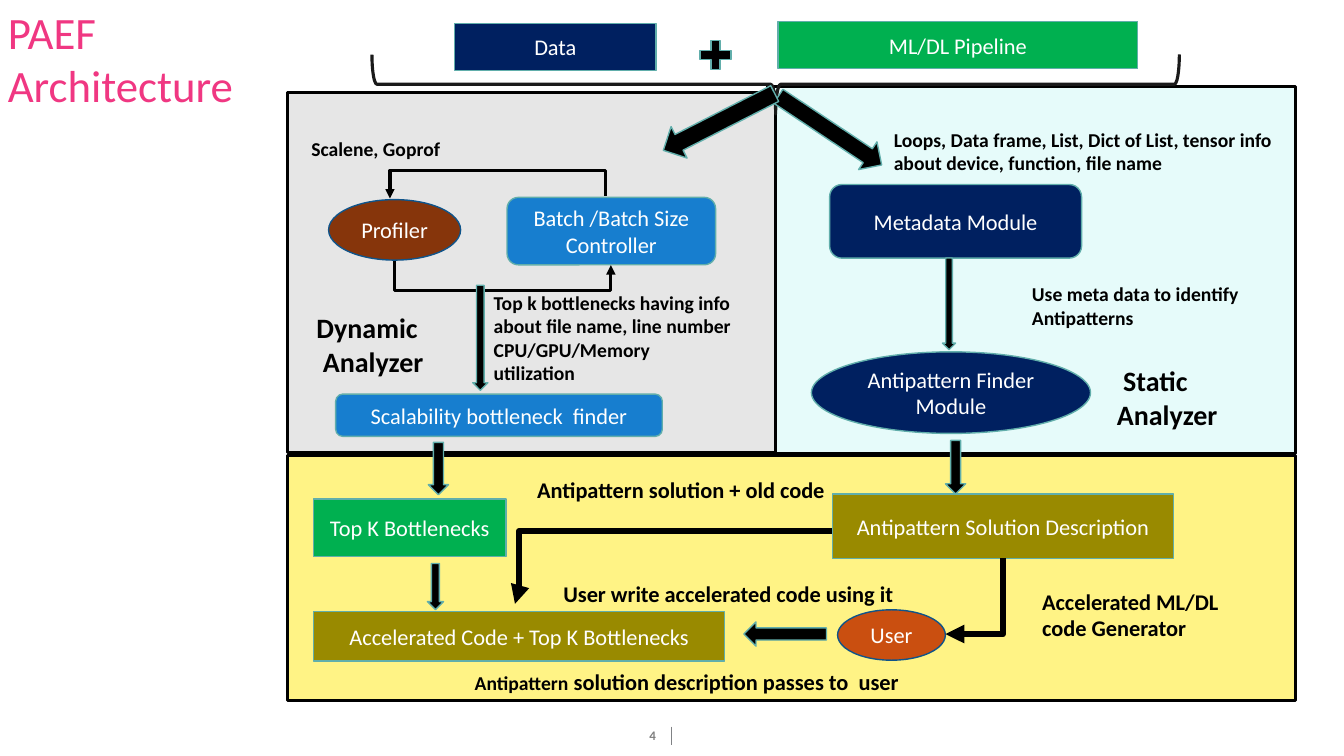
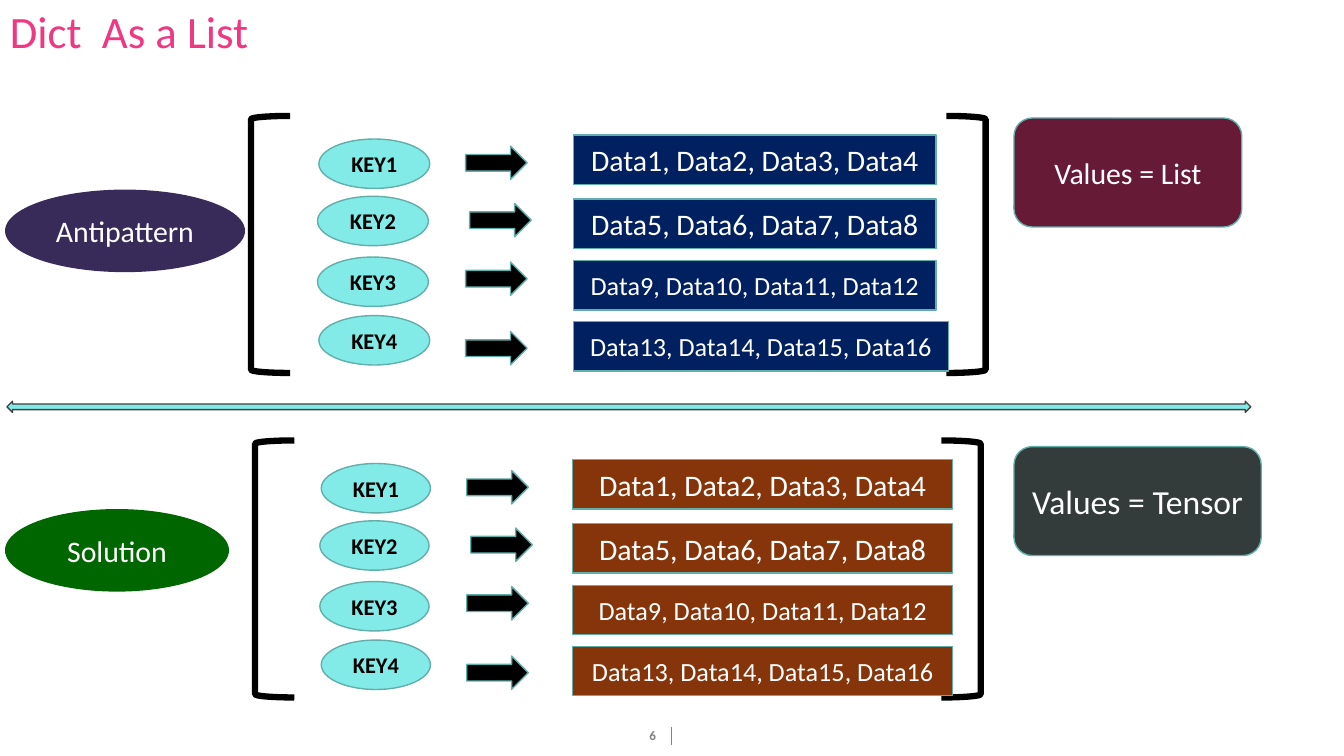
from dataclasses import dataclass

from lxml import etree
from pptx import Presentation
from pptx.dml.color import RGBColor
from pptx.enum import shapes, text as textual
from pptx.oxml import ns
from pptx.util import Pt

Kind = shapes.MSO_SHAPE
Align = textual.PP_ALIGN
Anchor = textual.MSO_ANCHOR


@dataclass(frozen=True)
class Theme:
    font: str = "Calibri"
    # Colours
    pink: str = "F03782"
    white: str = "FFFFFF"
    black: str = "000000"
    brace: str = "1A1A1A"
    grey: str = "808080"
    rule: str = "808285"
    edge: str = "61AEAB"
    blue_edge: str = "0F548A"
    dark_edge: str = "404040"
    navy: str = "002060"
    blue: str = "177ECF"
    green: str = "00B050"
    forest: str = "006600"
    olive: str = "998A00"
    brown: str = "86350B"
    orange: str = "CA4F10"
    aqua: str = "83EBE7"
    violet: str = "382B5A"
    wine: str = "661A35"
    slate: str = "333B3B"
    pale_aqua: str = "E6FBFA"
    pale_grey: str = "E6E6E6"
    yellow: str = "FFF385"
    # Type sizes
    title: float = 32
    large: float = 24
    value: float = 21.3
    long_value: float = 18.7
    heading: float = 20
    body: float = 16
    note: float = 14
    footer: float = 9.3


THEME = Theme()


def colour(code):
    return RGBColor.from_string(code)


def points(values):
    return [Pt(value) for value in values]


def child(parent, tag, **attributes):
    return etree.SubElement(parent, ns.qn(tag), attributes)


# Text

def add_span(para, words, size, ink, bold):
    span = para.add_run()
    span.text = words
    span.font.name = THEME.font
    span.font.size = Pt(size)
    span.font.bold = bold
    span.font.color.rgb = colour(ink)


def write(shape, text, size=THEME.body, ink=THEME.black, bold=False,
          align=Align.LEFT, anchor=Anchor.TOP, indents=(), lead=None, spacing=None):
    """Put text in a shape, one paragraph a line; lead is a (words, size) opening."""
    frame = shape.text_frame
    frame.word_wrap = True
    frame.vertical_anchor = anchor
    for index, line in enumerate(text.split("\n")):
        para = frame.paragraphs[0] if index == 0 else frame.add_paragraph()
        para.alignment = align
        if spacing:
            para.line_spacing = spacing
        if indents:
            para._p.get_or_add_pPr().set("marL", str(Pt(indents[index])))
        if lead and index == 0:
            add_span(para, *lead, ink, bold)
        add_span(para, line, size, ink, bold)


def add_label(page, box, text, **style):
    label = page.shapes.add_textbox(*points(box))
    write(label, text, **style)
    return label


def add_note(page, box, text, size=THEME.note, **style):
    add_label(page, box, text, size=size, bold=True, **style)


# Shapes

def add_block(page, kind, box, fill=None, text="", edge=THEME.edge, weight=1,
              turn=0, ink=THEME.white, **style):
    block = page.shapes.add_shape(kind, *points(box))
    block.shadow.inherit = False
    block.rotation = turn
    if fill:
        block.fill.solid()
        block.fill.fore_color.rgb = colour(fill)
    else:
        block.fill.background()
    if edge:
        block.line.color.rgb = colour(edge)
        block.line.width = Pt(weight)
    else:
        block.line.fill.background()
    if text:
        write(block, text, ink=ink, align=Align.CENTER, anchor=Anchor.MIDDLE, **style)
    return block


def add_arrow(page, box, kind=Kind.DOWN_ARROW, turn=0):
    add_block(page, kind, box, THEME.black, turn=turn)


# Connectors

def add_line(page, start, end, ink, weight, kind=shapes.MSO_CONNECTOR.STRAIGHT):
    line = page.shapes.add_connector(kind, *points((*start, *end)))
    line.line.color.rgb = colour(ink)
    line.line.width = Pt(weight)
    child(line._element.spPr, "a:effectLst")
    return line


def add_elbow(page, start, end, weight, bend=None, turn=0, flips=()):
    """Bent arrow; bend is where its middle leg lies, None gives a single corner."""
    line = add_line(page, start, end, THEME.black, weight, shapes.MSO_CONNECTOR.ELBOW)
    properties = line._element.spPr
    child(properties.find(ns.qn("a:ln")), "a:tailEnd", type="triangle")
    geometry = properties.find(ns.qn("a:prstGeom"))
    if bend is None:
        geometry.set("prst", "bentConnector2")
    else:
        axis = 1 if turn else 0
        share = (bend - start[axis]) / (end[axis] - start[axis])
        guides = geometry.find(ns.qn("a:avLst"))
        if guides is None:
            guides = child(geometry, "a:avLst")
        child(guides, "a:gd", name="adj1", fmla=f"val {round(share * 100000)}")
    if turn:
        # A quarter turn swaps width and height about the same centre
        width, height = abs(end[1] - start[1]), abs(end[0] - start[0])
        line.left = Pt((start[0] + end[0] - width) / 2)
        line.top = Pt((start[1] + end[1] - height) / 2)
        line.width, line.height = Pt(width), Pt(height)
        frame = properties.find(ns.qn("a:xfrm"))
        frame.set("rot", str(turn * 60000))
        for flip in ("flipH", "flipV"):
            frame.set(flip, "1" if flip in flips else "0")


# Pages

def add_page(deck, number, title, box, **style):
    page = deck.slides.add_slide(deck.slide_layouts[6])
    add_line(page, (479.5, 519), (479.5, 532), THEME.rule, 0.5)
    add_label(page, (450.5, 518.5, 31.5, 13.5), str(number), size=THEME.footer,
              ink=THEME.grey, bold=True, align=Align.CENTER, anchor=Anchor.MIDDLE)
    add_label(page, box, title, size=THEME.title, ink=THEME.pink, **style)
    return page


def build_architecture(deck):
    page = add_page(deck, 4, "PAEF\nArchitecture", (-1.5, -0.5, 216, 85))

    # Panels
    for box, fill in (
        ((548.6, 62, 376.6, 262), THEME.pale_aqua),
        ((205.2, 325.4, 720, 175), THEME.yellow),
        ((205.2, 66.2, 348.5, 257), THEME.pale_grey),
    ):
        add_block(page, Kind.RECTANGLE, box, fill, edge=THEME.black, weight=2.25)

    # Inputs
    add_block(page, Kind.RECTANGLE, (324.7, 16.6, 144, 33.8), THEME.navy, "Data")
    add_block(page, Kind.MATH_PLUS, (496, 25.2, 30.2, 28), THEME.black)
    add_block(page, Kind.RECTANGLE, (555.8, 15.3, 257, 33.8), THEME.green, "ML/DL Pipeline")
    add_block(page, Kind.LEFT_BRACE, (532.8, -228.2, 42.5, 576.7), edge=THEME.brace,
              weight=2.25, turn=270)

    # Modules
    for kind, box, fill, text in (
        (Kind.ROUNDED_RECTANGLE, (362.2, 141, 149, 48.2), THEME.blue,
         "Batch /Batch Size Controller"),
        (Kind.ROUNDED_RECTANGLE, (239.8, 281.5, 233.3, 30.2), THEME.blue,
         "Scalability bottleneck  finder"),
        (Kind.ROUNDED_RECTANGLE, (592.6, 131.8, 180, 52.6), THEME.navy, "Metadata Module"),
        (Kind.OVAL, (579.6, 251.3, 199.4, 58.3), THEME.navy, "Antipattern Finder\nModule"),
        (Kind.RECTANGLE, (223.9, 356.4, 137.5, 41), THEME.green, "Top K Bottlenecks"),
        (Kind.RECTANGLE, (223.9, 437, 293.8, 35.3), THEME.olive,
         "Accelerated Code + Top K Bottlenecks"),
        (Kind.RECTANGLE, (594.7, 352.8, 243.4, 46), THEME.olive,
         "Antipattern Solution Description"),
    ):
        add_block(page, kind, box, fill, text)
    for box, fill, text in (
        ((234.7, 142.6, 94.3, 43.2), THEME.brown, "Profiler"),
        ((598.3, 435.6, 77, 36), THEME.orange, "User"),
    ):
        add_block(page, Kind.OVAL, box, fill, text, edge=THEME.blue_edge)

    # Bent arrows
    add_elbow(page, (432.7, 139.7), (278.6, 141.8), 2.25, bend=121.7, turn=270,
              flips=("flipH", "flipV"))
    add_elbow(page, (281.5, 186.5), (436.3, 189.4), 2.25, bend=207.4, turn=270,
              flips=("flipH",))
    add_elbow(page, (716.4, 398.9), (675.4, 452.9), 4.5, turn=90)
    add_elbow(page, (594, 379.4), (367.9, 431.3), 4.5, bend=370.8)

    # Block arrows
    for box, turn in (
        ((581, 49, 23.8, 88.6), 303.6),
        ((501, 42.5, 25.2, 89.3), 63),
        ((306, 316, 14.4, 37.4), 0),
        ((673.2, 184.3, 9.4, 65.5), 0),
        ((305.3, 402.5, 11.5, 33), 0),
        ((337.7, 203.8, 10.8, 75), 0),
        ((675.4, 314.6, 14.4, 38.2), 0),
        ((552.2, 423.4, 17.3, 59), 90),
    ):
        add_arrow(page, box, turn=turn)

    # Panel headings
    add_note(page, (219, 218.2, 114, 55.4), "Dynamic\nAnalyzer", THEME.heading,
             indents=(0, 4.5))
    add_note(page, (786.2, 256.3, 135.4, 55.4), "Static\nAnalyzer", THEME.heading,
             indents=(9, 4.5))

    # Notes
    for box, text, size in (
        ((215.3, 94.3, 168, 24.5), "Scalene, Goprof", THEME.note),
        ((631.4, 87.8, 299.5, 41),
         "Loops, Data frame, List, Dict of List, tensor info about device, function, file name",
         THEME.note),
        ((730, 198, 183.6, 41), "Use meta data to identify Antipatterns", THEME.note),
        ((345.6, 204, 186, 75),
         "Top k bottlenecks having info about file name, line number CPU/GPU/Memory utilization",
         THEME.note),
        ((737.3, 416.2, 168, 46), "Accelerated ML/DL code Generator", THEME.body),
        ((395.3, 411, 276, 26.6), "User write accelerated code using it", THEME.body),
        ((376.6, 336.7, 248.4, 26.6), "Antipattern solution + old code", THEME.body),
    ):
        add_note(page, box, text, size)
    add_note(page, (332, 473.8, 379.4, 26.6), " solution description passes to  user",
             THEME.body, lead=("Antipattern", THEME.note))


def add_dictionary(page, top, brackets, key_left, key_width, arrow_left, data_left,
                   data_widths, fill):
    """Bracketed rows of key, arrow and data; top is that of the brackets."""
    for left, turn in zip(brackets, (0, 180)):
        add_block(page, Kind.LEFT_BRACKET, (left, top, 28, 183.6), edge=THEME.black,
                  weight=4.5, turn=turn)
    rows = (  # key, arrow and data offsets, key and arrow shifts, data, size
        (16.5, 21.6, 13.7, 1, 0, "Data1, Data2, Data3, Data4", THEME.value),
        (57.4, 62.6, 59.4, 0, 2.9, "Data5, Data6, Data7, Data8", THEME.value),
        (100.8, 104.4, 103.4, 0, 0, "Data9, Data10, Data11, Data12", THEME.long_value),
        (142.6, 154, 147, 1, 0, "Data13, Data14, Data15, Data16", THEME.long_value),
    )
    for number, (row, width) in enumerate(zip(rows, data_widths), 1):
        key, arrow, data, key_shift, arrow_shift, text, size = row
        add_block(page, Kind.OVAL, (key_left + key_shift, top + key, key_width, 35.3),
                  THEME.aqua, f"KEY{number}", ink=THEME.black, bold=True)
        add_arrow(page, (arrow_left + arrow_shift, top + arrow, 44, 23.8), Kind.RIGHT_ARROW)
        add_block(page, Kind.RECTANGLE, (data_left, top + data, width, 35.3), fill, text,
                  size=size)


def build_dictionary(deck):
    page = add_page(deck, 6, "Dict  As a List", (0, 3.6, 855, 47), spacing=0.9)

    # Key and data rows
    add_dictionary(page, 82.8, (179.3, 676), 226.8, 79.2, 332.6, 409.5,
                   (259.2, 259.2, 259.2, 268), THEME.navy)
    add_dictionary(page, 314.6, (182.2, 672.5), 228.5, 78, 333.4, 409,
                   (271.5,) * 4, THEME.brown)

    # Divider
    add_block(page, Kind.LEFT_RIGHT_ARROW, (5, 286.6, 888.5, 8), THEME.aqua,
              edge=THEME.dark_edge)

    # Kinds of value
    add_block(page, Kind.ROUNDED_RECTANGLE, (724.3, 84.3, 162.7, 77.8), THEME.wine,
              "Values = List", size=THEME.value)
    add_block(page, Kind.ROUNDED_RECTANGLE, (724.3, 319, 176.6, 77.8), THEME.slate,
              "Values = Tensor", size=THEME.large)

    # Row captions
    add_block(page, Kind.OVAL, (3.6, 135.4, 171.4, 59), THEME.violet, "Antipattern",
              edge=None, size=THEME.value)
    add_block(page, Kind.OVAL, (3.6, 363.6, 160, 59), THEME.forest, "Solution",
              edge=None, size=THEME.value)


def main():
    deck = Presentation()
    deck.slide_width, deck.slide_height = Pt(960), Pt(540)
    build_architecture(deck)
    build_dictionary(deck)
    deck.save("out.pptx")


if __name__ == "__main__":
    main()
